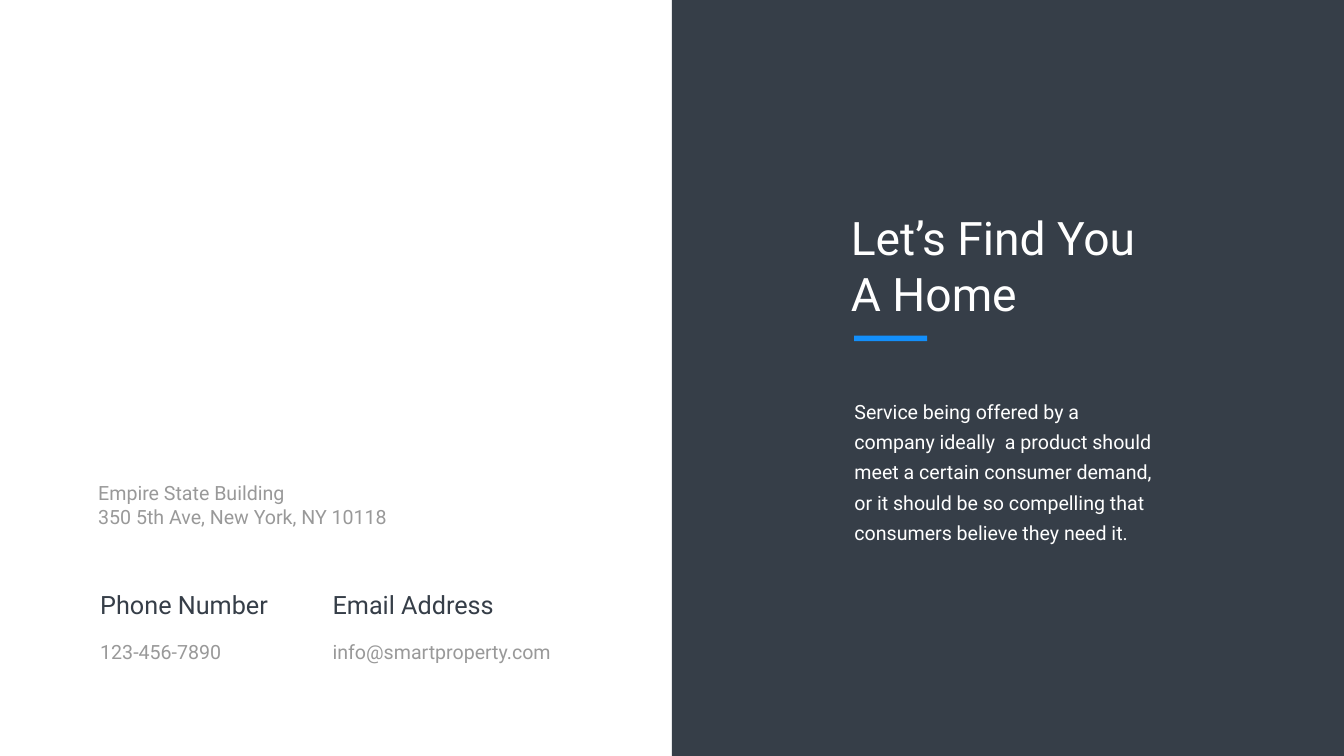
from dataclasses import dataclass

from pptx import Presentation
from pptx.dml.color import RGBColor
from pptx.enum import shapes, text
from pptx.util import Inches, Pt


@dataclass(frozen=True)
class Theme:
    font: str = "Roboto"
    dark: str = "363E48"
    white: str = "FFFFFF"
    gray: str = "999999"
    accent: str = "138FFB"
    title_size: int = 66
    heading_size: int = 36
    body_size: int = 28


THEME = Theme()
SLIDE_WIDTH, SLIDE_HEIGHT = 26.66, 15
HALF_WIDTH = SLIDE_WIDTH / 2
CONTACT_LEFT, CONTACT_STEP = 1.89, 4.61
CONTACTS = [
    ("Phone Number", "123-456-7890"),
    ("Email Address", "info@smartproperty.com"),
]


def add_block(slide, left, top, width, height, color):
    """Add a plain filled rectangle without an outline."""
    block = slide.shapes.add_shape(
        shapes.MSO_SHAPE.RECTANGLE,
        *map(Inches, (left, top, width, height)))
    block.shadow.inherit = False
    block.fill.solid()
    block.fill.fore_color.rgb = RGBColor.from_string(color)
    block.line.fill.background()


def add_text(slide, box, lines, size, color, line_spacing=None, **frame_format):
    """Add a text box with one paragraph for each line."""
    frame = slide.shapes.add_textbox(*map(Inches, box)).text_frame
    frame_format = {"word_wrap": True,
                    "auto_size": text.MSO_AUTO_SIZE.SHAPE_TO_FIT_TEXT,
                    **frame_format}
    for name, value in frame_format.items():
        setattr(frame, name, value)
    for index, line in enumerate(lines):
        paragraph = frame.add_paragraph() if index else frame.paragraphs[0]
        run = paragraph.add_run()
        run.text = line
        paragraph.line_spacing = line_spacing
        for name, value in {"name": THEME.font, "size": Pt(size)}.items():
            setattr(run.font, name, value)
        run.font.color.rgb = RGBColor.from_string(color)


def add_contact(slide, left, heading, value):
    add_text(slide, (left, 12.42, 4.94, 0.73), [value],
             THEME.body_size, THEME.gray, line_spacing=1.5)
    add_text(slide, (left, 11.64, 4.27, 0.71), [heading],
             THEME.heading_size, THEME.dark)


def add_message(slide):
    add_block(slide, HALF_WIDTH, 0, HALF_WIDTH, SLIDE_HEIGHT, THEME.dark)
    add_text(slide, (16.71, 7.69, 6.44, 3.2),
             ["Service being offered by a company ideally  a product should "
              "meet a certain consumer demand, or it should be so compelling "
              "that consumers believe they need it."],
             THEME.body_size, THEME.white, line_spacing=Pt(43),
             margin_left=Inches(0.24), margin_right=Inches(0.24),
             margin_top=Inches(0.12), margin_bottom=Inches(0.12))
    add_text(slide, (16.78, 4.11, 6.49, 2.32), ["Let’s Find You A Home"],
             THEME.title_size, THEME.white)
    add_block(slide, 16.94, 6.66, 1.45, 0.11, THEME.accent)


def main():
    presentation = Presentation()
    presentation.slide_width = Inches(SLIDE_WIDTH)
    presentation.slide_height = Inches(SLIDE_HEIGHT)
    slide = presentation.slides.add_slide(presentation.slide_layouts[6])
    slide.background.fill.solid()
    slide.background.fill.fore_color.rgb = RGBColor.from_string(THEME.white)

    add_message(slide)
    for index, (heading, value) in enumerate(CONTACTS):
        add_contact(slide, CONTACT_LEFT + index * CONTACT_STEP, heading, value)
    add_text(slide, (1.85, 9.5, 5.93, 1.04),
             ["Empire State Building", "350 5th Ave, New York, NY 10118"],
             THEME.body_size, THEME.gray, word_wrap=False)
    presentation.save("out.pptx")


if __name__ == "__main__":
    main()
